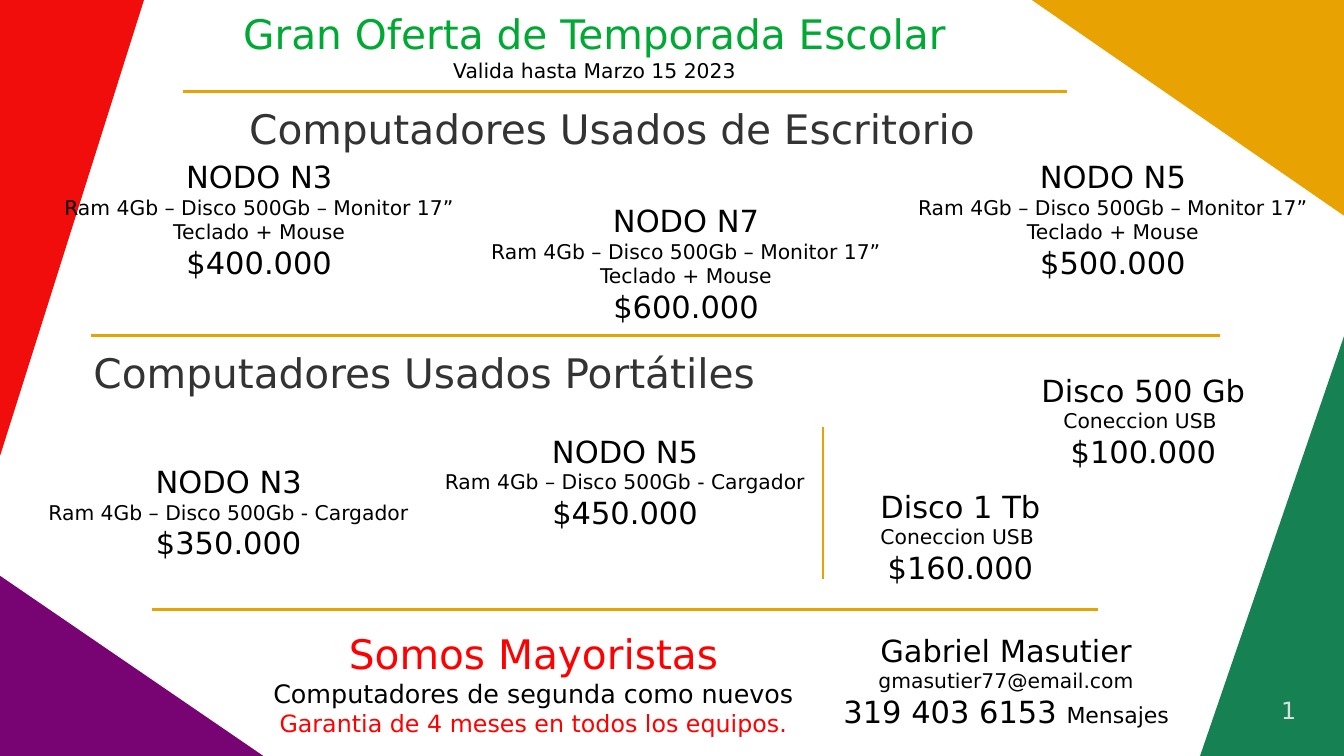
from lxml.etree import SubElement
from pptx import Presentation
from pptx.dml.color import RGBColor
from pptx.enum.shapes import MSO_CONNECTOR
from pptx.enum.text import MSO_ANCHOR, MSO_AUTO_SIZE, PP_ALIGN
from pptx.oxml.ns import qn
from pptx.util import Pt

WIDE, HIGH = 793.44, 446.4
BLACK = RGBColor(0x00, 0x00, 0x00)
GREY = RGBColor(0x33, 0x33, 0x33)
PALE = RGBColor(0xDD, 0xDD, 0xDD)
RED = RGBColor(0xFF, 0x00, 0x00)
LIME = RGBColor(0x00, 0xA9, 0x33)
PLUM = RGBColor(0x78, 0x03, 0x73)
FLAME = RGBColor(0xF1, 0x0D, 0x0C)
GOLD = RGBColor(0xE8, 0xA2, 0x02)
GREEN = RGBColor(0x16, 0x82, 0x53)

SIDES = ("margin_left", "margin_top", "margin_right", "margin_bottom")
FRAME = {"word_wrap": True, "auto_size": MSO_AUTO_SIZE.NONE}
OPEN = {**FRAME, **dict(zip(SIDES, map(Pt, (7.2, 3.6, 7.2, 3.6)))),
        "vertical_anchor": MSO_ANCHOR.TOP}
TIGHT = {**FRAME, **dict.fromkeys(SIDES, Pt(0)),
         "vertical_anchor": MSO_ANCHOR.MIDDLE}
TOP = {**TIGHT, "vertical_anchor": MSO_ANCHOR.TOP}


def apply(item, form):
    for key, value in form.items():
        setattr(item, key, value)


class Flyer:
    font = "DejaVu Sans"

    def __init__(self):
        self.deck = Presentation()
        apply(self.deck, {"slide_width": Pt(WIDE), "slide_height": Pt(HIGH)})
        self.slide = self.deck.slides.add_slide(self.deck.slide_layouts[5])
        self.shapes = self.slide.shapes

    def corner(self, color, *points):
        first, *rest = [(Pt(x), Pt(y)) for x, y in points]
        outline = self.shapes.build_freeform(*first)
        outline.add_line_segments(rest, close=True)
        shape = outline.convert_to_shape()
        shape.shadow.inherit = False
        shape.fill.solid()
        shape.fill.fore_color.rgb = color
        shape.line.fill.background()

    def rule(self, *ends):
        line = self.shapes.add_connector(MSO_CONNECTOR.STRAIGHT, *map(Pt, ends))
        line.line.color.rgb = GOLD
        line.line.width = Pt(1.42)
        SubElement(line._element.spPr, qn("a:effectLst"))

    def fill(self, frame, paras, form, align):
        """Fill a frame; each paragraph is a list of (text, size, color)."""
        apply(frame, form)
        for i, runs in enumerate(paras):
            para = frame.add_paragraph() if i else frame.paragraphs[0]
            para.alignment = align
            for text, size, color in runs:
                run = para.add_run()
                run.text = text
                apply(run.font, {"name": self.font, "size": Pt(size), "bold": False})
                run.font.color.rgb = color

    def text(self, box, paras, form=OPEN, align=PP_ALIGN.CENTER):
        shape = self.shapes.add_textbox(*map(Pt, box))
        self.fill(shape.text_frame, paras, form, align)

    def title(self, box, text):
        shape = self.shapes.title
        apply(shape, dict(zip(("left", "top", "width", "height"), map(Pt, box))))
        self.fill(shape.text_frame, [[(text, 24, GREY)]], TIGHT, PP_ALIGN.CENTER)

    def offer(self, box, name, specs, price):
        self.text(box, [[(name, 18, BLACK)],
                        *[[(spec, 12, BLACK)] for spec in specs],
                        [(price, 18, BLACK)]])


def main():
    page = Flyer()
    page.corner(PLUM, (0, 340), (0, HIGH), (155.5, HIGH))
    page.corner(FLAME, (0, 0), (0, 269.3), (85, 0))
    page.corner(GOLD, (WIDE, 0), (609.1, 0), (WIDE, 127.4))
    page.corner(GREEN, (WIDE, HIGH), (WIDE, 198.7), (708.5, HIGH))

    for ends in ((108, 54, 630, 54), (54, 198, 720, 198),
                 (90, 360, 648, 360), (486, 252, 486, 342)):
        page.rule(*ends)

    page.text((126, 0, 450, 54),
              [[("Gran Oferta de Temporada Escolar", 24, LIME)],
               [("Valida hasta Marzo 15 2023", 12, BLACK)]], TIGHT)
    page.title((146.9, 54, 429.1, 43.9), "Computadores Usados de Escritorio")
    page.text((36, 198, 429.1, 43.9),
              [[("Computadores Usados Portátiles", 24, GREY)]], TIGHT)

    desk = ("Ram 4Gb – Disco 500Gb – Monitor 17”", "Teclado + Mouse")
    lap = ("Ram 4Gb – Disco 500Gb - Cargador",)
    usb = ("Coneccion USB ",)
    for box, name, specs, price in (
        ((18, 90, 270, 77), "NODO N3", desk, "$400.000"),
        ((522, 90, 270, 77), "NODO N5", desk, "$500.000"),
        ((252, 115.9, 306, 77), "NODO N7", desk, "$600.000"),
        ((0, 270, 270, 62.6), "NODO N3", lap, "$350.000"),
        ((252, 252, 234, 62.6), "NODO N5", lap, "$450.000"),
        ((576, 216, 198, 62.6), "Disco 500 Gb", usb, "$100.000"),
        ((486, 284.4, 162, 62.6), "Disco 1 Tb", usb, "$160.000"),
    ):
        page.offer(box, name, specs, price)

    page.text((144, 367.9, 342, 56.2),
              [[("Somos Mayoristas", 24, RED)],
               [("Computadores de segunda como nuevos ", 15, BLACK),
                ("Garantia de 4 meses en todos los equipos.", 14, RED)]])
    page.text((468, 369.4, 252, 62.6),
              [[("Gabriel Masutier", 18, BLACK)],
               [("gmasutier77@email.com", 12, BLACK)],
               [("319 403 6153 ", 18, BLACK), ("Mensajes", 13, BLACK)]])
    page.text((581, 411.1, 184.3, 28.1), [[("1", 14, PALE)]], TOP, PP_ALIGN.RIGHT)
    page.deck.save("out.pptx")


if __name__ == "__main__":
    main()
